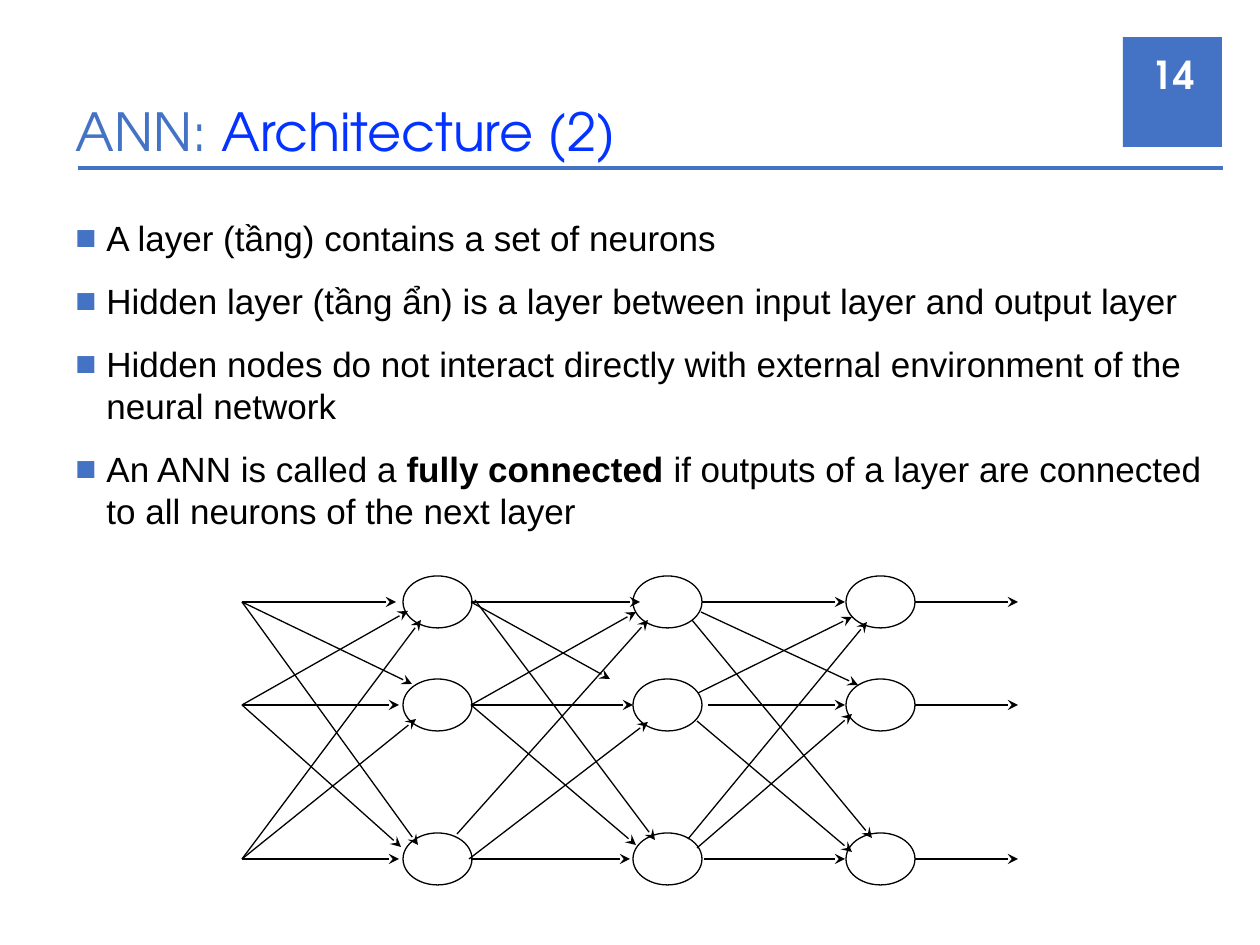
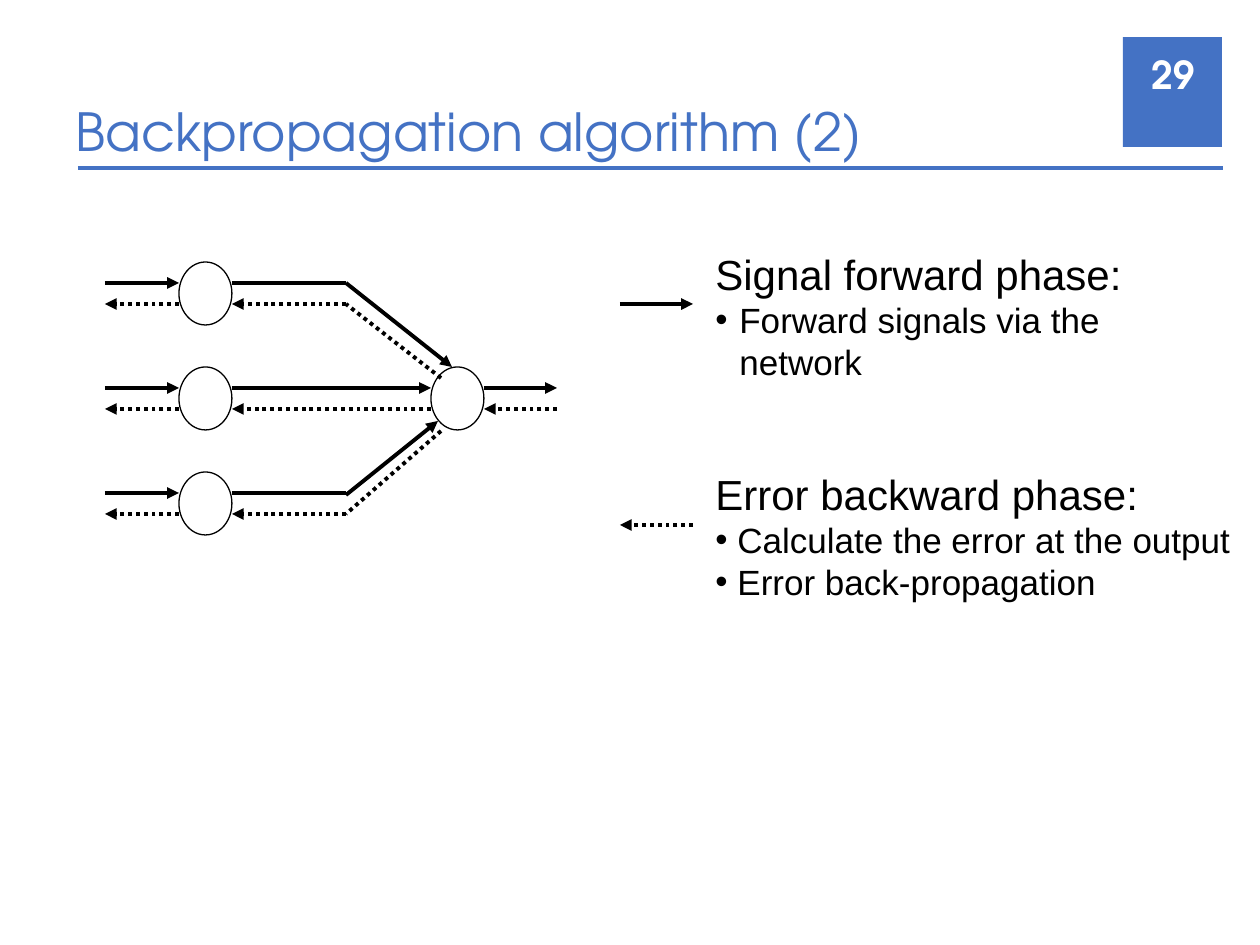
"""Builds two lecture slides on neural networks: layered architecture and backpropagation."""
from pptx import Presentation, util as u
from pptx.dml.color import RGBColor
from pptx.enum import dml, shapes, text
from pptx.oxml.ns import qn
from lxml import etree

PX_PER_INCH = 126
BLUE, BRIGHT, BLACK, WHITE = "4472C4", "0432FF", "000000", "FFFFFF"
BODY_FONT, TITLE_FONT = "Arial", "TeX Gyre Adventor"

ARCHITECTURE_TITLE = [("ANN: ", BLUE), ("Architecture (2)", BRIGHT)]
ARCHITECTURE_POINTS = [
    [("A layer (tầng) contains a set of neurons", False)],
    [("Hidden layer (tầng ẩn) is a layer between input layer and output layer", False)],
    [("Hidden nodes do not interact directly with external environment of the neural network", False)],
    [("An ANN is called a ", False), ("fully connected ", True),
     ("if outputs of a layer are connected to all neurons of the next layer", False)],
]
LAYER_LEFTS = [403, 633, 846]
ROW_CENTERS = [602, 705, 859]
NEURON = (69, 52)
INPUT_X, OUTPUT_START, OUTPUT_END = 242, 915, 1018
INPUT_TARGETS = [
    [(396, 602), (412, 684), (418, 845)],
    [(408, 611), (399, 705), (401, 847)],
    [(421, 620), (416, 719), (399, 859)],
]
LAYER_LINKS = [
    ((471, 602), (640, 602)), ((471, 602), (610, 679)), ((475, 600), (655, 840)),
    ((471, 705), (636, 612)), ((471, 705), (633, 705)), ((471, 705), (636, 845)),
    ((457, 834), (648, 620)), ((469, 859), (648, 722)), ((471, 859), (630, 859)),
    ((702, 602), (845, 602)), ((701, 612), (858, 685)), ((692, 620), (872, 838)),
    ((698, 693), (852, 617)), ((708, 705), (845, 705)), ((697, 721), (852, 852)),
    ((688, 839), (867, 622)), ((697, 848), (852, 714)), ((704, 859), (845, 859)),
]

BACKPROP_TITLE = [("Backpropagation algorithm (2)", BLUE)]
PHASES = [
    ((703, 242, 494, 149), "Signal forward phase:", 24, ["Forward signals via the network"]),
    ((703, 462, 546, 149), "Error backward phase:", 22,
     ["Calculate the error at the output", "Error back-propagation"]),
]
CELL = (53, 63)
HIDDEN_X, OUTPUT_X, FIRST_TOP, ROW_STEP = 179, 431, 262, 105
SIGNAL_DROP, ERROR_DROP = 21, 42
LEFT_END, BEND_X, RIGHT_END = 105, 346, 557
FORWARD_DIAGONALS = [((BEND_X, 283), (452, 367)), ((BEND_X, 495), (438, 421))]
BACKWARD_DIAGONALS = [((441, 378), (BEND_X, 304)), ((441, 431), (BEND_X, 514))]
FORWARD_KEY = ((620, 304), (693, 304))
BACKWARD_KEY = ((693, 525), (620, 525))


def px(length):
    return u.Inches(length / PX_PER_INCH)


def color(value):
    return RGBColor.from_string(value)


def add_span(para, words, size, font, fill, bold=False):
    span = para.add_run()
    span.text = words
    span.font.size = u.Pt(size)
    span.font.name = font
    span.font.bold = bold
    span.font.color.rgb = color(fill)


def add_bullet(para, mark, fill, indent):
    props = para._p.get_or_add_pPr()
    props.set("marL", str(px(indent)))
    props.set("indent", str(-px(indent)))
    tint = etree.SubElement(props, qn("a:buClr"))
    etree.SubElement(tint, qn("a:srgbClr"), val=fill)
    etree.SubElement(props, qn("a:buFont"), typeface=BODY_FONT)
    etree.SubElement(props, qn("a:buChar"), char=mark)


def add_text_box(page, area):
    frame = page.shapes.add_textbox(*map(px, area)).text_frame
    frame.word_wrap = True
    return frame


def add_ellipse(page, left, top, size, fill=None):
    ellipse = page.shapes.add_shape(shapes.MSO_SHAPE.OVAL, *map(px, (left, top, *size)))
    ellipse.shadow.inherit = False
    if fill:
        ellipse.fill.solid()
        ellipse.fill.fore_color.rgb = color(fill)
    else:
        ellipse.fill.background()
    ellipse.line.color.rgb = color(BLACK)
    ellipse.line.width = u.Pt(0.75)


def add_line(page, start, end, width, head=None, dotted=False, fill=BLACK):
    line = page.shapes.add_connector(shapes.MSO_CONNECTOR.STRAIGHT, *map(px, (*start, *end)))
    line.line.color.rgb = color(fill)
    line.line.width = u.Pt(width)
    if dotted:
        line.line.dash_style = dml.MSO_LINE.ROUND_DOT
    if head:
        etree.SubElement(line.line._get_or_add_ln(), qn("a:tailEnd"), type=head)
    etree.SubElement(line._element.spPr, qn("a:effectLst"))


def add_page(deck, title_spans, number):
    page = deck.slides.add_slide(deck.slide_layouts[5])
    band = page.shapes.add_shape(shapes.MSO_SHAPE.RECTANGLE, *map(px, (1123, 37, 99, 110)))
    band.shadow.inherit = False
    band.fill.solid()
    band.fill.fore_color.rgb = color(BLUE)
    band.line.fill.background()

    title = page.shapes.title
    title.left, title.top, title.width, title.height = map(px, (63, 63, 1166, 105))
    frame = title.text_frame
    frame.auto_size = text.MSO_AUTO_SIZE.NONE
    frame.vertical_anchor = text.MSO_ANCHOR.BOTTOM
    para = frame.paragraphs[0]
    para.alignment = text.PP_ALIGN.LEFT
    for words, fill in title_spans:
        add_span(para, words, 30, TITLE_FONT, fill)
    add_line(page, (78, 168), (1223, 168), 2, fill=BLUE)

    frame = add_text_box(page, (1138, 49, 69, 50))
    frame.margin_left = 0
    frame.vertical_anchor = text.MSO_ANCHOR.MIDDLE
    para = frame.paragraphs[0]
    para.alignment = text.PP_ALIGN.RIGHT
    add_span(para, str(number), 22, TITLE_FONT, WHITE, True)
    return page


def build_architecture(deck):
    page = add_page(deck, ARCHITECTURE_TITLE, 14)
    frame = add_text_box(page, (63, 210, 1166, 714))
    for index, spans in enumerate(ARCHITECTURE_POINTS):
        para = frame.add_paragraph() if index else frame.paragraphs[0]
        para.space_before = u.Pt(12)
        add_bullet(para, "■", BLUE, 31)
        for words, bold in spans:
            add_span(para, words, 20, BODY_FONT, BLACK, bold)

    for left in LAYER_LEFTS:
        for center in ROW_CENTERS:
            add_ellipse(page, left, center - NEURON[1] / 2, NEURON, WHITE)
    inputs = [((INPUT_X, y), end) for y, ends in zip(ROW_CENTERS, INPUT_TARGETS) for end in ends]
    outputs = [((OUTPUT_START, y), (OUTPUT_END, y)) for y in ROW_CENTERS]
    for start, end in inputs + LAYER_LINKS + outputs:
        add_line(page, start, end, 0.75, "stealth")


def build_backpropagation(deck):
    page = add_page(deck, BACKPROP_TITLE, 29)
    hidden_right, output_right = HIDDEN_X + CELL[0], OUTPUT_X + CELL[0]

    def flow(start, end, head="triangle", dotted=False):
        add_line(page, start, end, 2.25, head, dotted)

    for row in range(3):
        top = FIRST_TOP + row * ROW_STEP
        signal, error = top + SIGNAL_DROP, top + ERROR_DROP
        middle = row == 1
        reach = OUTPUT_X if middle else BEND_X
        add_ellipse(page, HIDDEN_X, top, CELL)
        flow((LEFT_END, signal), (HIDDEN_X, signal))
        flow((HIDDEN_X, error), (LEFT_END, error), dotted=True)
        flow((hidden_right, signal), (reach, signal), "triangle" if middle else None)
        flow((reach, error), (hidden_right, error), dotted=True)
        if middle:
            add_ellipse(page, OUTPUT_X, top, CELL)
            flow((output_right, signal), (RIGHT_END, signal))
            flow((RIGHT_END, error), (output_right, error), dotted=True)

    for start, end in FORWARD_DIAGONALS + [FORWARD_KEY]:
        flow(start, end)
    for start, end in BACKWARD_DIAGONALS:
        flow(start, end, None, True)
    flow(*BACKWARD_KEY, dotted=True)

    for area, heading, indent, points in PHASES:
        frame = add_text_box(page, area)
        add_span(frame.paragraphs[0], heading, 24, BODY_FONT, BLACK)
        for point in points:
            para = frame.add_paragraph()
            add_bullet(para, "•", BLACK, indent)
            add_span(para, point, 20, BODY_FONT, BLACK)


def main():
    deck = Presentation()
    deck.slide_width, deck.slide_height = u.Inches(10), u.Inches(7.5)
    build_architecture(deck)
    build_backpropagation(deck)
    deck.save("out.pptx")


if __name__ == "__main__":
    main()
